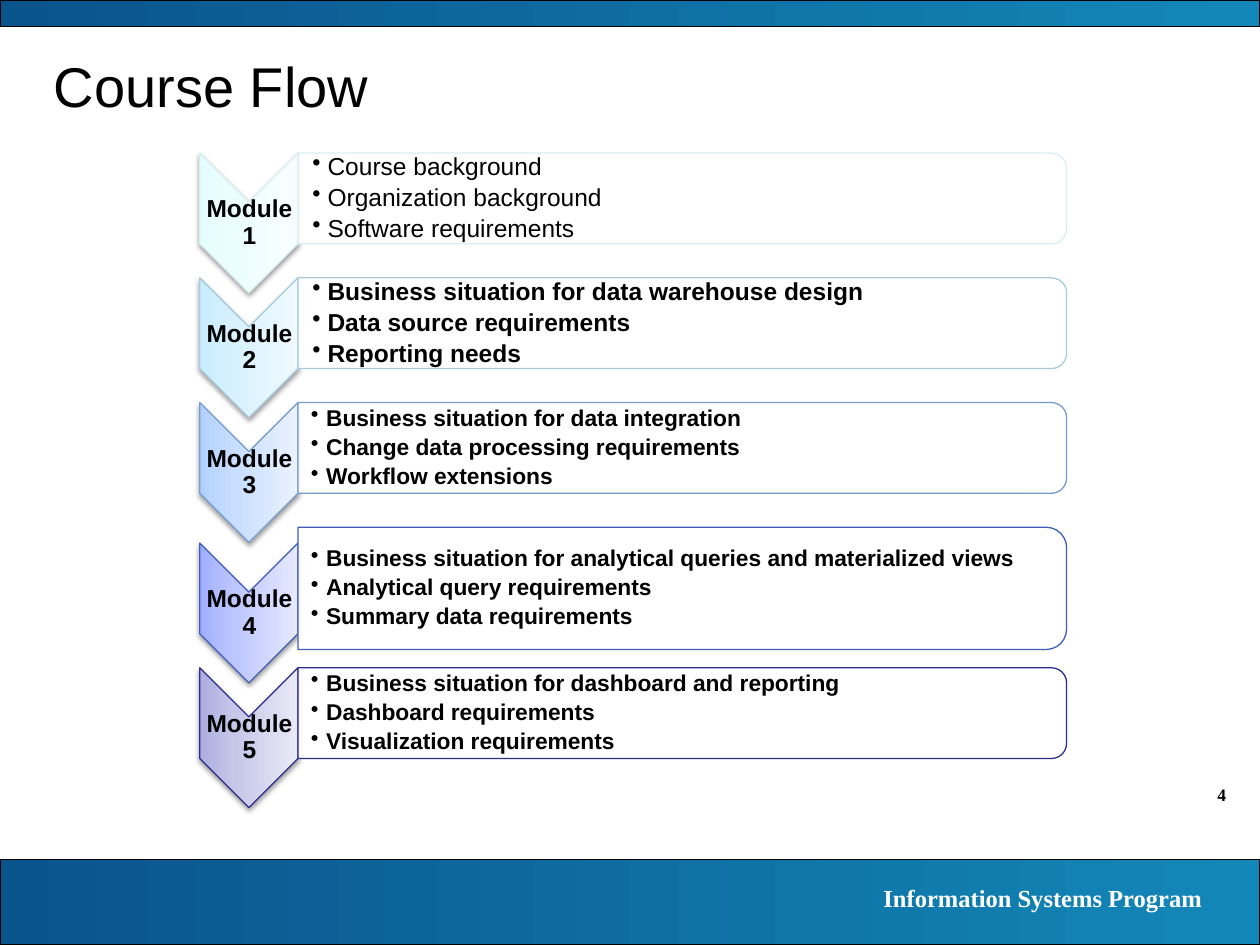
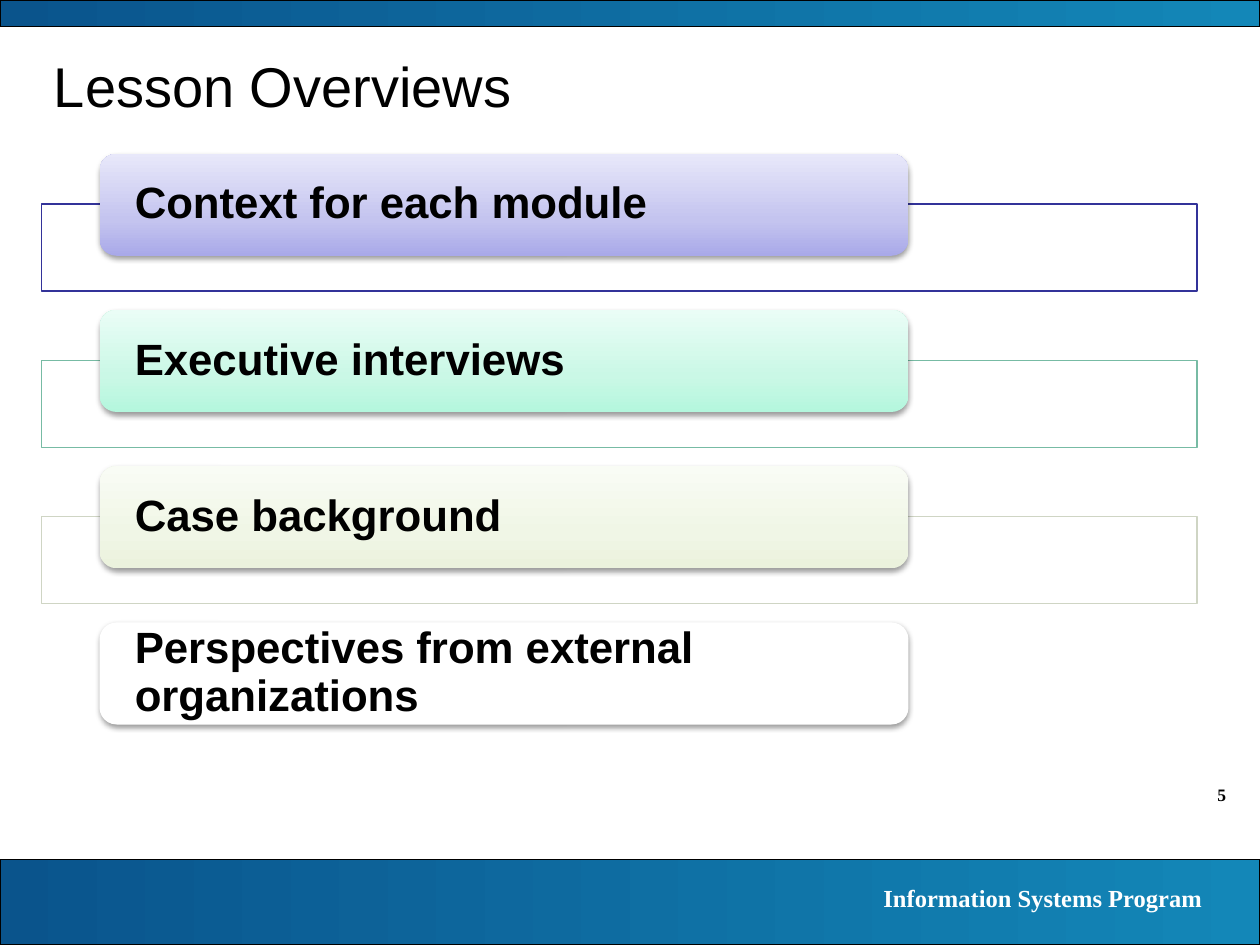
"""Build the Course Flow and Lesson Overviews slides on a grid of 100 columns by 75 rows."""
from pptx import Presentation
from pptx.dml.color import RGBColor
from pptx.enum.shapes import MSO_SHAPE
from pptx.enum.text import MSO_ANCHOR, PP_ALIGN
from pptx.oxml import parse_xml
from pptx.oxml.ns import nsdecls, qn
from pptx.util import Inches, Pt

COLORS = {
    "ink": "000000",
    "paper": "FFFFFF",
    "band": ["0A548C", "1387B8"],
    "module_lines": ["DAEDEF", "A8CBDC", "759CCB", "415DBA", "2D2D8A"],
    "module_fills": [
        ["E6FDFF", "ECFDFF", "F8FEFF"],
        ["C9ECFF", "D8F1FF", "F0FAFF"],
        ["B2D0FF", "C8DDFF", "EAF2FF"],
        ["A1AEFF", "BDC6FE", "E6E9FF"],
        ["ADADE1", "C6C6E9", "E9E9F7"],
    ],
    "lesson_lines": ["333399", "77BBA4", "CFD5C4", "FFFFFF"],
    "lesson_fills": [
        ["A9A9E9", "C4C4EF", "E8E8FA"],
        ["B4F7DD", "CAF8E6", "EAFDF6"],
        ["EBF2DD", "F0F6E6", "F9FCF5"],
        ["FFFFFF"],
    ],
}
STOP_SHARES = {2: (0, 100), 3: (0, 35, 100)}

MODULES = [
    (14, False, ["Course background", "Organization background", "Software requirements"]),
    (14, True, ["Business situation for data warehouse design",
                "Data source requirements", "Reporting needs"]),
    (13, True, ["Business situation for data integration",
                "Change data processing requirements", "Workflow extensions"]),
    (13, True, ["Business situation for analytical queries and materialized views",
                "Analytical query requirements", "Summary data requirements"]),
    (13, True, ["Business situation for dashboard and reporting",
                "Dashboard requirements", "Visualization requirements"]),
]
LESSONS = ["Context for each module", "Executive interviews", "Case background",
           "Perspectives from external organizations"]

deck = Presentation()
deck.slide_width, deck.slide_height = Inches(10), Inches(7.5)
COL, ROW = deck.slide_width / 100, deck.slide_height / 75


def add_block(slide, preset, left, top, width, height, stops, line=None,
              angle=90, turned=False, shadow=False, opacity=100):
    """Draw a filled preset in the given visible frame, turned a quarter if asked."""
    if turned:
        left, top = left + (width - height) / 2, top + (height - width) / 2
        width, height = height, width
    block = slide.shapes.add_shape(preset, int(left * COL), int(top * ROW),
                                   int(width * COL), int(height * ROW))
    block.rotation = 90 if turned else 0
    block.shadow.inherit = False
    if len(stops) == 1:
        block.fill.solid()
        block.fill.fore_color.rgb = RGBColor.from_string(stops[0])
        if opacity < 100:
            tint = block._element.spPr.find(qn("a:solidFill"))[0]
            tint.append(parse_xml(f'<a:alpha {nsdecls("a")} val="{opacity * 1000}"/>'))
    else:
        block.fill.gradient()
        block.fill.gradient_angle = angle
        stop_list = block._element.spPr.find(qn("a:gradFill")).find(qn("a:gsLst"))
        for old_stop in list(stop_list):
            stop_list.remove(old_stop)
        for share, color in zip(STOP_SHARES[len(stops)], stops):
            stop_list.append(parse_xml(
                f'<a:gs {nsdecls("a")} pos="{share * 1000}"><a:srgbClr val="{color}"/></a:gs>'))
    if line:
        block.line.color.rgb = RGBColor.from_string(line)
        block.line.width = Pt(0.75)
    else:
        block.line.fill.background()
    if shadow:
        block._element.spPr.find(qn("a:effectLst")).append(parse_xml(
            f'<a:outerShdw {nsdecls("a")} blurRad="{Pt(3.1)}" dist="{Pt(1.6)}" dir="5400000" '
            f'rotWithShape="0"><a:srgbClr val="{COLORS["ink"]}"><a:alpha val="38000"/>'
            '</a:srgbClr></a:outerShdw>'))


def add_words(slide, left, top, width, height, lines, size, bold=True, font="Arial",
              color=COLORS["ink"], align=PP_ALIGN.LEFT, anchor=MSO_ANCHOR.MIDDLE,
              insets=(1, 0.5, 1, 0.5), spacing=0.9, bulleted=False):
    """Write lines of text, one paragraph each, in a wrapping frame."""
    frame = slide.shapes.add_textbox(int(left * COL), int(top * ROW),
                                     int(width * COL), int(height * ROW)).text_frame
    frame.word_wrap = True
    frame.vertical_anchor = anchor
    frame.margin_left, frame.margin_top, frame.margin_right, frame.margin_bottom = (
        int(inset * COL) for inset in insets)
    for index, words in enumerate(lines):
        paragraph = frame.paragraphs[0] if index == 0 else frame.add_paragraph()
        paragraph.alignment = align
        paragraph.line_spacing = spacing
        if bulleted:
            paragraph.space_after = Pt(2.6)
            properties = paragraph._p.get_or_add_pPr()
            properties.set("marL", str(Inches(0.12)))
            properties.set("indent", str(-Inches(0.12)))
            properties.append(parse_xml(f'<a:buChar {nsdecls("a")} char="•"/>'))
        run = paragraph.add_run()
        run.text = words
        run.font.name, run.font.size, run.font.bold = font, Pt(size), bold
        run.font.color.rgb = RGBColor.from_string(color)


pages = []
for number, title in enumerate(["Course Flow", "Lesson Overviews"], start=4):
    page = deck.slides.add_slide(deck.slide_layouts[6])
    pages.append(page)
    add_words(page, 90, 61.7, 8.3, 2.7, [str(number)], 10, font="Times New Roman",
              align=PP_ALIGN.RIGHT, anchor=MSO_ANCHOR.TOP, spacing=1)
    for band_top, band_height in [(68.2, 6.8), (0, 2.1)]:
        add_block(page, MSO_SHAPE.RECTANGLE, 0, band_top, 100, band_height,
                  COLORS["band"], COLORS["ink"], angle=0)
    add_words(page, 55.5, 69.6, 40.9, 3.4, ["Information Systems Program"], 14,
              font="Times New Roman", color=COLORS["paper"],
              align=PP_ALIGN.RIGHT, anchor=MSO_ANCHOR.TOP, spacing=1)
    add_words(page, 3.3, 3.3, 91.7, 7.5, [title], 32, bold=False)

course_flow, lesson_overviews = pages

PANEL_HEIGHT, TALL_PANEL_HEIGHT, MODULE_STEP = 7.2, 9.7, 9.9
module_top = 12.15
for index, (size, bold, topics) in enumerate(MODULES):
    line = COLORS["module_lines"][index]
    panel_height = TALL_PANEL_HEIGHT if index == 3 else PANEL_HEIGHT
    extra = (panel_height - PANEL_HEIGHT) / 2
    arrow_top = module_top + extra
    add_block(course_flow, MSO_SHAPE.CHEVRON, 15.85, arrow_top, 7.8, 11.1,
              COLORS["module_fills"][index], line, turned=True, shadow=True)
    add_words(course_flow, 15.9, arrow_top + 3.9, 7.8, 3.3, [f"Module {index + 1}"], 14,
              align=PP_ALIGN.CENTER, insets=(0.1, 0.1, 0.1, 0.1))
    add_block(course_flow, MSO_SHAPE.ROUND_2_SAME_RECTANGLE, 23.65, module_top, 61,
              panel_height, [COLORS["paper"]], line, turned=True, opacity=90)
    add_words(course_flow, 23.7, module_top + 0.35, 60.6, panel_height - 0.7, topics, size,
              bold=bold, insets=(size / 10 - 0.3, 0.1, 0.1, 0.1), bulleted=True)
    module_top += MODULE_STEP + extra

LESSON_STEP = 12.4
for index, lesson in enumerate(LESSONS):
    lesson_top = 12.2 + index * LESSON_STEP
    add_block(lesson_overviews, MSO_SHAPE.RECTANGLE, 3.3, lesson_top + 4, 91.7, 6.9,
              [COLORS["paper"]], COLORS["lesson_lines"][index], opacity=90)
    add_block(lesson_overviews, MSO_SHAPE.ROUNDED_RECTANGLE, 7.9, lesson_top, 64.2, 8.1,
              COLORS["lesson_fills"][index], shadow=True)
    add_words(lesson_overviews, 8.3, lesson_top + 0.4, 63.4, 7.3, [lesson], 25,
              insets=(2.4, 0, 2.4, 0))

deck.save("out.pptx")
